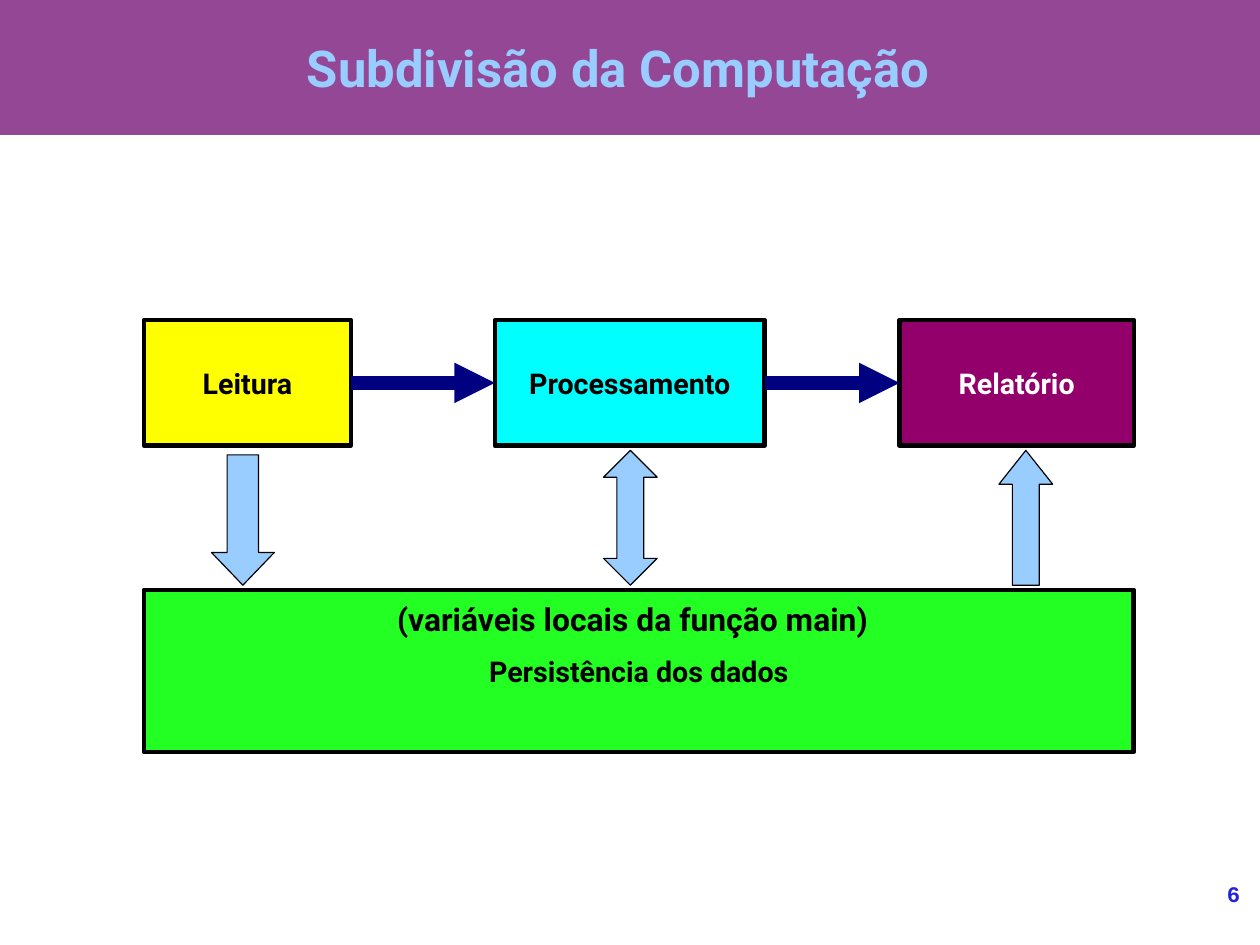
from lxml import etree
from pptx import Presentation
from pptx.dml.color import RGBColor
from pptx.enum.shapes import MSO_CONNECTOR, MSO_SHAPE
from pptx.enum.text import MSO_ANCHOR, MSO_AUTO_SIZE, PP_ALIGN
from pptx.oxml.ns import qn
from pptx.util import Inches, Pt

RECT = MSO_SHAPE.RECTANGLE
DOWN, UP, UP_DOWN = MSO_SHAPE.DOWN_ARROW, MSO_SHAPE.UP_ARROW, MSO_SHAPE.UP_DOWN_ARROW
STRAIGHT = MSO_CONNECTOR.STRAIGHT
CENTER, RIGHT = PP_ALIGN.CENTER, PP_ALIGN.RIGHT
TOP, MIDDLE = MSO_ANCHOR.TOP, MSO_ANCHOR.MIDDLE

BLACK = RGBColor(0x00, 0x00, 0x00)
WHITE = RGBColor(0xFF, 0xFF, 0xFF)
PURPLE = RGBColor(0x94, 0x47, 0x94)
LIGHT_BLUE = RGBColor(0x99, 0xCC, 0xFF)
YELLOW = RGBColor(0xFF, 0xFF, 0x00)
CYAN = RGBColor(0x00, 0xFF, 0xFF)
WINE = RGBColor(0x94, 0x00, 0x6B)
GREEN = RGBColor(0x23, 0xFF, 0x23)
NAVY = RGBColor(0x00, 0x00, 0x80)
NUMBER_BLUE = RGBColor(0x23, 0x23, 0xDC)

FONT = "Roboto"
# The page is 28 by 21 cm
WIDTH, HEIGHT = 28 / 2.54, 21 / 2.54
BOX_HEIGHT = 1.1
# Stages: label, offset from the diagram's left, width, fill, text colour
STAGES = [
    ("Leitura", 0, 1.81, YELLOW, BLACK),
    ("Processamento", 3.07, 2.36, CYAN, BLACK),
    ("Relatório", 6.61, 2.05, WINE, WHITE),
]
# Data arrows: preset, left and top offsets, width, height, head adjustment
DATA_ARROWS = [
    (UP_DOWN, 4.02, 1.14, 0.47, 1.18, 0.5),
    (DOWN, 0.59, 1.18, 0.55, 1.14, 0.52),
    (UP, 7.48, 1.14, 0.47, 1.18, 0.63),
]


def write(sp, text, size, color, align=CENTER, anchor=MIDDLE, font=FONT, margins=(0, 0)):
    tf = sp.text_frame
    tf.auto_size = MSO_AUTO_SIZE.NONE
    tf.word_wrap = True
    tf.vertical_anchor = anchor
    tf.margin_left = tf.margin_right = Inches(margins[0])
    tf.margin_top = tf.margin_bottom = Inches(margins[1])
    p = tf.paragraphs[0]
    p.alignment = align
    r = p.add_run()
    r.text = text
    r.font.name = font
    r.font.size = Pt(size)
    r.font.bold = True
    r.font.color.rgb = color


def add_filled(s, preset, x, y, w, h, fill, line_width=None):
    sp = s.shapes.add_shape(preset, Inches(x), Inches(y), Inches(w), Inches(h))
    sp.shadow.inherit = False
    sp.fill.solid()
    sp.fill.fore_color.rgb = fill
    if line_width is None:
        sp.line.fill.background()
    else:
        sp.line.color.rgb = BLACK
        sp.line.width = Pt(line_width)
    return sp


def add_box(s, text, x, y, w, h, fill, color):
    sp = add_filled(s, RECT, x, y, w, h, fill, 2.83)
    write(sp, text, 18, color, margins=(0.08, 0.03))
    return sp


def add_flow_arrow(s, source, target):
    arrow = s.shapes.add_connector(STRAIGHT, 0, 0, 0, 0)
    arrow.begin_connect(source, 3)
    arrow.end_connect(target, 1)
    arrow.line.color.rgb = NAVY
    arrow.line.width = Pt(8.5)
    line = arrow._element.spPr.find(qn("a:ln"))
    etree.SubElement(line, qn("a:tailEnd"), type="triangle")
    etree.SubElement(arrow._element.spPr, qn("a:effectLst"))


def add_header(s, x, y, w, h):
    # The band goes behind the title placeholder
    band = add_filled(s, RECT, x, y, w, h, PURPLE)
    s.shapes._spTree.insert(2, band._element)
    title = s.shapes.title
    title.left, title.top = Inches(x - 0.2), Inches(y)
    title.width, title.height = Inches(w + 0.2), Inches(h)
    write(title, "Subdivisão da Computação", 32, LIGHT_BLUE)


def add_diagram(s, x, y, w, h):
    # Processing stages and the flow between them
    boxes = [add_box(s, text, x + dx, y, bw, BOX_HEIGHT, fill, color)
             for text, dx, bw, fill, color in STAGES]
    for source, target in zip(boxes, boxes[1:]):
        add_flow_arrow(s, source, target)

    # Stored data
    store_height = 1.42
    store_top = y + h - store_height
    add_box(s, "Persistência dos dados", x, store_top, w, store_height, GREEN, BLACK)

    # Exchange between stages and data
    for preset, dx, dy, aw, ah, head in DATA_ARROWS:
        arrow = add_filled(s, preset, x + dx, y + dy, aw, ah, LIGHT_BLUE, 0)
        arrow.adjustments[0] = 0.5
        arrow.adjustments[1] = head

    # Caption of the stored data
    caption = s.shapes.add_textbox(Inches(x + 1.54), Inches(store_top + 0.04),
                                   Inches(5.47), Inches(0.43))
    write(caption, "(variáveis locais da função main)", 20, BLACK,
          anchor=TOP, margins=(0.1, 0.05))


def add_page_number(s, x, y, w, h):
    sp = s.shapes.add_textbox(Inches(x), Inches(y), Inches(w), Inches(h))
    write(sp, "6", 14, NUMBER_BLUE, align=RIGHT, anchor=TOP, font="Courier New")


def main():
    prs = Presentation()
    prs.slide_width, prs.slide_height = Inches(WIDTH), Inches(HEIGHT)
    s = prs.slides.add_slide(prs.slide_layouts[5])
    add_header(s, 0, 0, WIDTH, 1.18)
    add_diagram(s, 1.26, 2.8, 8.66, 3.78)
    add_page_number(s, 9.17, 7.7, 1.68, 0.57)
    prs.save("out.pptx")


if __name__ == "__main__":
    main()
